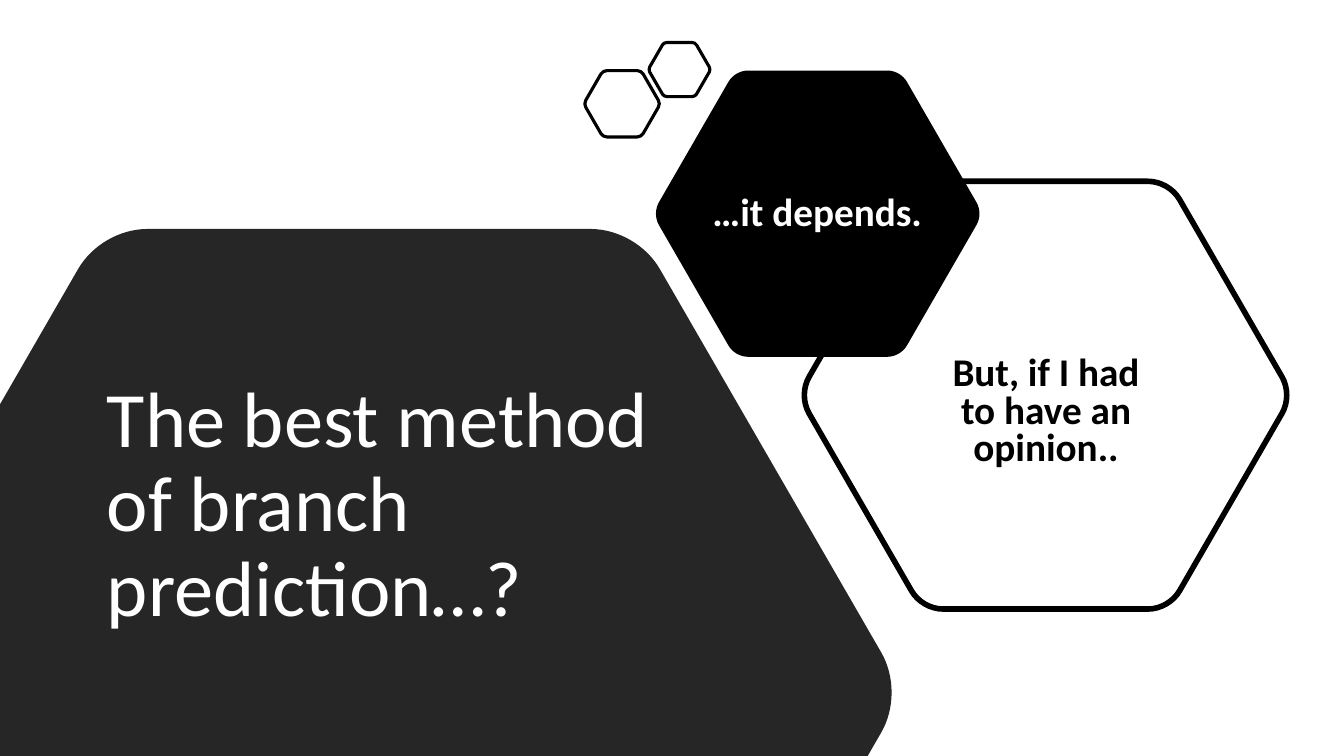
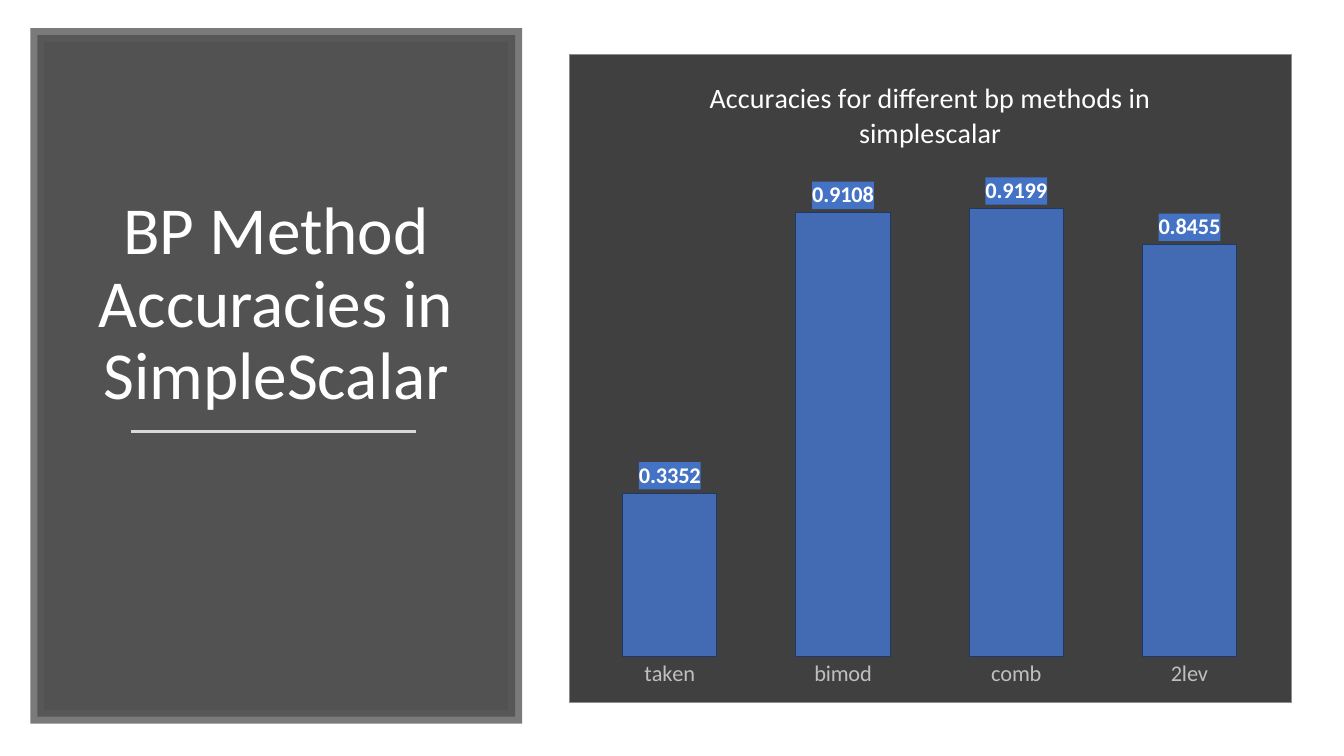
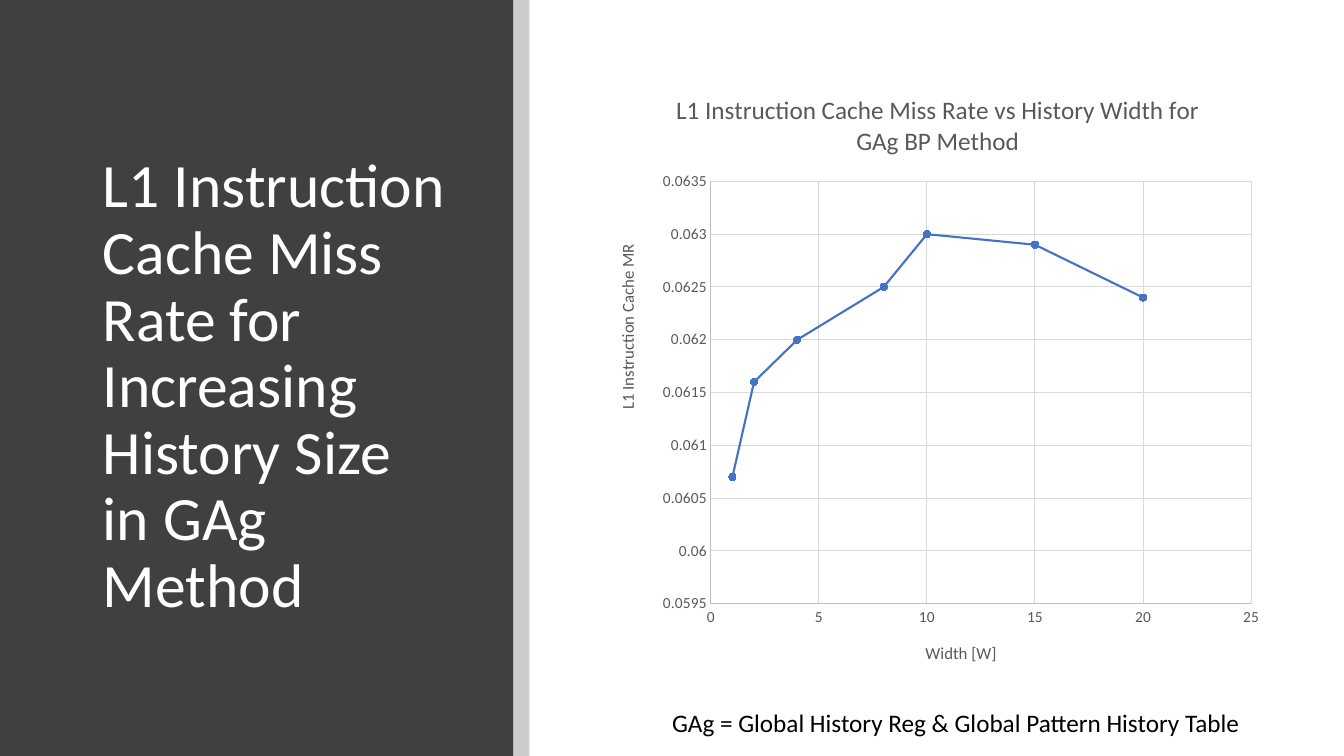
from dataclasses import dataclass
from math import cos, pi, sin
from typing import Optional

from lxml import etree
from pptx import Presentation
from pptx import util as u
from pptx.chart import data as chart_data
from pptx.dml.color import RGBColor
from pptx.enum import chart as charts
from pptx.enum import shapes, text
from pptx.oxml import parse_xml
from pptx.oxml.ns import nsdecls, qn

Point = tuple[float, float]
Corner = tuple[float, float, float]  # x, y and the length cut off each side
Box = tuple[float, float, float, float]
WIDTH, HEIGHT = 13.33, 7.5


# Shared look
@dataclass(frozen=True)
class Theme:
    font: str = "Calibri"
    black: str = "000000"
    white: str = "FFFFFF"
    night: str = "262626"
    panel: str = "404040"
    frame: str = "595959"
    border: str = "8C8C8C"
    axis: str = "BFBFBF"
    grid: str = "D9D9D9"
    blue: str = "4472C4"
    navy: str = "203864"
    hero: int = 56
    heading: int = 48
    long_heading: int = 44
    statement: int = 28
    bar_title: int = 20
    caption: int = 18
    label: int = 16
    axis_title: int = 12
    tick: int = 11


THEME = Theme()


@dataclass(frozen=True)
class Hexagon:
    """Regular hexagon with rounded corners."""
    center: Point
    radius: float
    cut: float
    fill: Optional[str] = None
    line_width: float = 0


@dataclass(frozen=True)
class TextStyle:
    size: float
    color: str
    bold: bool = False
    align: text.PP_ALIGN = text.PP_ALIGN.LEFT
    anchor: text.MSO_ANCHOR = text.MSO_ANCHOR.MIDDLE
    line_spacing: float = 0.9
    space_before: float = 0


# Basic helpers
def rgb(color: str) -> RGBColor:
    return RGBColor.from_string(color)


def inches(box: Box) -> list[u.Length]:
    return [u.Inches(value) for value in box]


def set_font(font, size: float, color: str, bold: bool = False) -> None:
    font.name, font.size, font.bold = THEME.font, u.Pt(size), bold
    font.color.rgb = rgb(color)


def set_line(line, color: str, width: float) -> None:
    line.color.rgb = rgb(color)
    line.width = u.Pt(width)


def set_opacity(element, *percents: int) -> None:
    """Give the colours of an element, in order, an opacity each."""
    for color, percent in zip(list(element.iter(qn("a:srgbClr"))), percents):
        etree.SubElement(color, qn("a:alpha"), val=str(percent * 1000))


def write(shape, content: str, style: TextStyle, wrap: bool = True) -> None:
    frame = shape.text_frame
    frame.text = content
    frame.word_wrap = wrap
    frame.auto_size = text.MSO_AUTO_SIZE.NONE
    frame.vertical_anchor = style.anchor
    paragraph = frame.paragraphs[0]
    paragraph.alignment = style.align
    paragraph.line_spacing = style.line_spacing
    paragraph.space_before = u.Pt(style.space_before)
    set_font(paragraph.font, style.size, style.color, style.bold)


def add_text(slide, box: Box, content: str, style: TextStyle, wrap: bool = True) -> None:
    write(slide.shapes.add_textbox(*inches(box)), content, style, wrap)


def add_title(slide, box: Box, content: str, style: TextStyle) -> None:
    """Place the title above everything drawn so far."""
    title = slide.shapes.title
    title.left, title.top, title.width, title.height = inches(box)
    write(title, content, style)
    title.element.getparent().append(title.element)


def add_rectangle(slide, box: Box, color: str):
    rectangle = slide.shapes.add_shape(shapes.MSO_SHAPE.RECTANGLE, *inches(box))
    rectangle.shadow.inherit = False
    rectangle.fill.solid()
    rectangle.fill.fore_color.rgb = rgb(color)
    rectangle.line.fill.background()
    return rectangle


# Hexagons
def toward(start: Corner, end: Corner, length: float) -> Point:
    x, y = end[0] - start[0], end[1] - start[1]
    share = length / (x * x + y * y) ** 0.5
    return start[0] + x * share, start[1] + y * share


def clip(corners: list[Corner], axis: int, limit: float, sign: int) -> list[Corner]:
    """Keep the part where sign * (coordinate - limit) >= 0; new corners are sharp."""
    kept = []
    for i, corner in enumerate(corners):
        before = corners[i - 1]
        a, b = sign * (before[axis] - limit), sign * (corner[axis] - limit)
        if a * b < 0:
            share = a / (a - b)
            kept.append((before[0] + (corner[0] - before[0]) * share,
                         before[1] + (corner[1] - before[1]) * share, 0))
        if b >= 0:
            kept.append(corner)
    return kept


def hexagon_corners(hexagon: Hexagon) -> list[Corner]:
    x, y = hexagon.center
    corners = [(x + hexagon.radius * cos(i * pi / 3), y + hexagon.radius * sin(i * pi / 3),
                hexagon.cut) for i in range(6)]
    return clip(clip(corners, 0, 0, 1), 1, HEIGHT, -1)


def add_rounded_outline(slide, corners: list[Corner], pull: float = 0.6):
    """Draw a polygon whose cut corners are Bézier curves."""
    points, curves = [], []
    for i, corner in enumerate(corners):
        cut, before, after = corner[2], corners[i - 1], corners[(i + 1) % len(corners)]
        if not cut:
            points.append(corner[:2])
            continue
        curves.append(len(points))
        handle = cut * (1 - pull)
        points += [toward(corner, before, cut), toward(corner, before, handle),
                   toward(corner, after, handle), toward(corner, after, cut)]
    lengths = [(u.Inches(x), u.Inches(y)) for x, y in points]
    builder = slide.shapes.build_freeform(*lengths[0])
    builder.add_line_segments(lengths[1:], close=True)
    shape = builder.convert_to_shape()
    segments = list(shape.element.iter(qn("a:lnTo")))
    for first in curves:
        bezier = etree.Element(qn("a:cubicBezTo"))
        segments[first].addprevious(bezier)
        for segment in segments[first:first + 3]:
            bezier.append(segment[0])
            segment.getparent().remove(segment)
    return shape


def add_hexagon(slide, hexagon: Hexagon) -> None:
    shape = add_rounded_outline(slide, hexagon_corners(hexagon))
    shape.shadow.inherit = False
    if hexagon.fill:
        shape.fill.solid()
        shape.fill.fore_color.rgb = rgb(hexagon.fill)
    else:
        shape.fill.background()
    if hexagon.line_width:
        set_line(shape.line, THEME.black, hexagon.line_width)
    else:
        shape.line.fill.background()


# Charts
def solid(color: str) -> str:
    return f'<a:solidFill><a:srgbClr val="{color}"/></a:solidFill>'


def area_format(fill: str, border: str = ""):
    line = f'<a:ln w="6350">{solid(border)}</a:ln>' if border else ""
    return parse_xml(f'<c:spPr {nsdecls("c", "a")}>{solid(fill)}{line}</c:spPr>')


def chart_layout(chart_box: Box, part: Box | Point, target: str = ""):
    """Place a part of a chart, given in inches on the slide."""
    left, top, width, height = chart_box
    shares = [(part[0] - left) / width, (part[1] - top) / height]
    if len(part) == 4:
        shares += [part[2] / width, part[3] / height]
    places = "".join(f'<c:{name} val="{share:.4f}"/>' for name, share in zip("xywh", shares))
    return parse_xml(
        f'<c:layout {nsdecls("c")}><c:manualLayout>{target}<c:xMode val="edge"/>'
        f'<c:yMode val="edge"/>{places}</c:manualLayout></c:layout>')


def replace_layout(parent, layout, index: int) -> None:
    for old in parent.findall(qn("c:layout")):
        parent.remove(old)
    parent.insert(index, layout)


def set_chart_text(holder, content: str, size: float, color: str) -> None:
    holder.text_frame.text = content
    set_font(holder.text_frame.paragraphs[0].font, size, color)


def add_chart(slide, kind, box: Box, plot_box: Box, values, title: str, size: float, color: str):
    chart = slide.shapes.add_chart(kind, *inches(box), values).chart
    chart.has_legend = False
    chart.font.name = THEME.font
    chart.has_title = True
    set_chart_text(chart.chart_title, title, size, color)
    chart.chart_title.include_in_layout = False
    replace_layout(chart.element.find(".//" + qn("c:plotArea")),
                   chart_layout(box, plot_box, '<c:layoutTarget val="inner"/>'), 0)
    return chart


def format_scale(axis, title: str, low: float, high: float, unit: float) -> None:
    axis.minimum_scale, axis.maximum_scale, axis.major_unit = low, high, unit
    axis.major_tick_mark = charts.XL_TICK_MARK.NONE
    axis.has_major_gridlines = True
    set_line(axis.major_gridlines.format.line, THEME.grid, 0.75)
    set_line(axis.format.line, THEME.axis, 0.75)
    set_font(axis.tick_labels.font, THEME.tick, THEME.frame)
    axis.has_title = True
    set_chart_text(axis.axis_title, title, THEME.axis_title, THEME.frame)


# Slides
def build_opinion(slide) -> None:
    for hexagon in (
        Hexagon((10.37, 3.92), 2.45, 0.21, line_width=4),
        Hexagon((8.11, 2.12), 1.64, 0.13, THEME.black),
        Hexagon((3.66, 6.87), 5.31, 0.46, THEME.night),
        Hexagon((6.17, 1.03), 0.38, 0.04, line_width=2.25),
        Hexagon((6.74, 0.69), 0.31, 0.03, line_width=2.25),
    ):
        add_hexagon(slide, hexagon)
    add_title(slide, (0.96, 3.24, 5.6, 3.57), "The best method of branch prediction…?",
              TextStyle(THEME.hero, THEME.white))
    for left, top, content, color, spacing in (
        (6.89, 1.47, "…it depends.", THEME.white, 0.9),
        (9.16, 3.44, "But, if I had to have an opinion..", THEME.black, 0.8),
    ):
        add_text(slide, (left, top, 2.43, 1.31), content,
                 TextStyle(THEME.statement, color, True, text.PP_ALIGN.CENTER,
                           line_spacing=spacing, space_before=10))


def build_accuracies(slide) -> None:
    panel = add_rectangle(slide, (0.37, 0.35, 4.74, 6.76), THEME.panel)
    set_line(panel.line, THEME.frame, 10)
    set_opacity(panel.element, 90, 80)
    etree.SubElement(panel.element.spPr.find(qn("a:ln")), qn("a:miter"), lim="800000")
    add_title(slide, (0.74, 1, 4, 3.16), "BP Method Accuracies in SimpleScalar",
              TextStyle(THEME.heading, THEME.white, align=text.PP_ALIGN.CENTER,
                        anchor=text.MSO_ANCHOR.BOTTOM))
    rule = slide.shapes.add_connector(shapes.MSO_CONNECTOR.STRAIGHT,
                                      *inches((1.3, 4.28, 4.13, 4.28)))
    set_line(rule.line, THEME.grid, 1.75)
    etree.SubElement(rule.element.spPr, qn("a:effectLst"))

    values = chart_data.CategoryChartData()
    values.categories = ["taken", "bimod", "comb", "2lev"]
    values.add_series("Series 1", [0.3352, 0.9108, 0.9199, 0.8455])
    chart = add_chart(slide, charts.XL_CHART_TYPE.COLUMN_CLUSTERED, (5.64, 0.54, 7.17, 6.43),
                      (5.78, 1.68, 6.88, 4.84), values,
                      "Accuracies for different bp methods in simplescalar",
                      THEME.bar_title, THEME.white)
    chart.element.find(qn("c:chart")).addnext(area_format(THEME.panel, THEME.border))
    chart.value_axis.visible = False
    chart.value_axis.has_major_gridlines = False
    chart.value_axis.minimum_scale, chart.value_axis.maximum_scale = 0, 1
    methods = chart.category_axis
    methods.major_tick_mark = charts.XL_TICK_MARK.NONE
    methods.format.line.fill.background()
    set_font(methods.tick_labels.font, THEME.label, THEME.axis)

    plot = chart.plots[0]
    plot.gap_width, plot.vary_by_categories = 84, False
    bars = plot.series[0]
    bars.format.fill.solid()
    bars.format.fill.fore_color.rgb = rgb(THEME.blue)
    set_line(bars.format.line, THEME.navy, 0.75)
    set_opacity(chart.element.find(".//" + qn("c:ser")), 88)
    labels = bars.data_labels
    labels.show_value = True
    labels.position = charts.XL_LABEL_POSITION.OUTSIDE_END
    set_font(labels.font, THEME.label, THEME.white, True)
    label_text = chart.element.find(".//" + qn("c:dLbls")).find(qn("c:txPr"))
    label_text.addprevious(area_format(THEME.blue))


def build_miss_rate(slide) -> None:
    add_rectangle(slide, (0, 0, 5.09, HEIGHT), THEME.panel)
    add_title(slide, (0.92, 0.89, 3.65, 5.91),
              "L1 Instruction Cache Miss Rate for Increasing History Size in GAg Method",
              TextStyle(THEME.long_heading, THEME.white))
    edge = add_rectangle(slide, (5.09, 0, 0.16, HEIGHT), THEME.black)
    set_opacity(edge.element, 20)

    values = chart_data.XyChartData()
    points = values.add_series("Series 1")
    for width, rate in ((1, 0.0607), (2, 0.0616), (4, 0.062), (8, 0.0625),
                        (10, 0.063), (15, 0.0629), (20, 0.0624)):
        points.add_data_point(width, rate)
    box = (5.97, 0.7, 6.66, 6.09)
    chart = add_chart(slide, charts.XL_CHART_TYPE.XY_SCATTER_LINES, box,
                      (7.05, 1.8, 5.36, 4.19), values,
                      "L1 Instruction Cache Miss Rate vs History Width for GAg BP Method",
                      THEME.caption, THEME.frame)
    format_scale(chart.category_axis, "Width [W]", 0, 25, 5)
    format_scale(chart.value_axis, "L1 Instruction Cache MR", 0.0595, 0.0635, 0.0005)
    rate_title = chart.value_axis.axis_title.element
    turned = next(rate_title.iter(qn("a:bodyPr")))
    turned.set("rot", "-5400000")
    turned.set("vert", "horz")
    replace_layout(rate_title, chart_layout(box, (6.08, 2.39)), 1)

    chart.plots[0].vary_by_categories = False
    curve = chart.plots[0].series[0]
    curve.smooth = False
    set_line(curve.format.line, THEME.blue, 1.5)
    marker = curve.marker
    marker.style, marker.size = charts.XL_MARKER_STYLE.CIRCLE, 5
    marker.format.fill.solid()
    marker.format.fill.fore_color.rgb = rgb(THEME.blue)
    set_line(marker.format.line, THEME.blue, 0.75)

    add_text(slide, (6.53, 6.97, 5.9, 0.4),
             "GAg = Global History Reg & Global Pattern History Table",
             TextStyle(THEME.caption, THEME.black, align=text.PP_ALIGN.CENTER,
                       anchor=text.MSO_ANCHOR.TOP, line_spacing=1), wrap=False)


def main() -> None:
    presentation = Presentation()
    presentation.slide_width, presentation.slide_height = u.Inches(WIDTH), u.Inches(HEIGHT)
    title_only = presentation.slide_layouts[5]
    for build in (build_opinion, build_accuracies, build_miss_rate):
        build(presentation.slides.add_slide(title_only))
    presentation.save("out.pptx")


if __name__ == "__main__":
    main()
